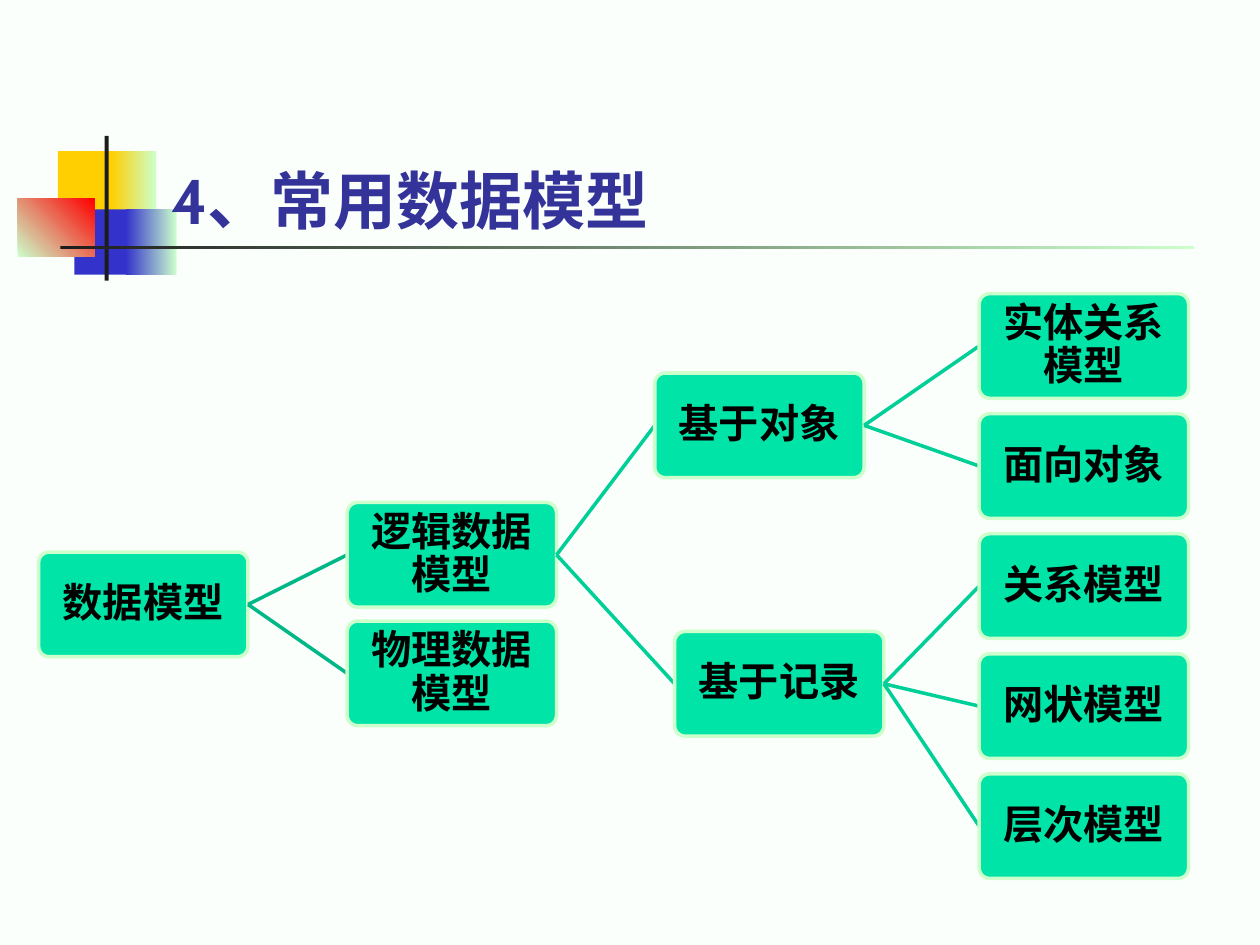
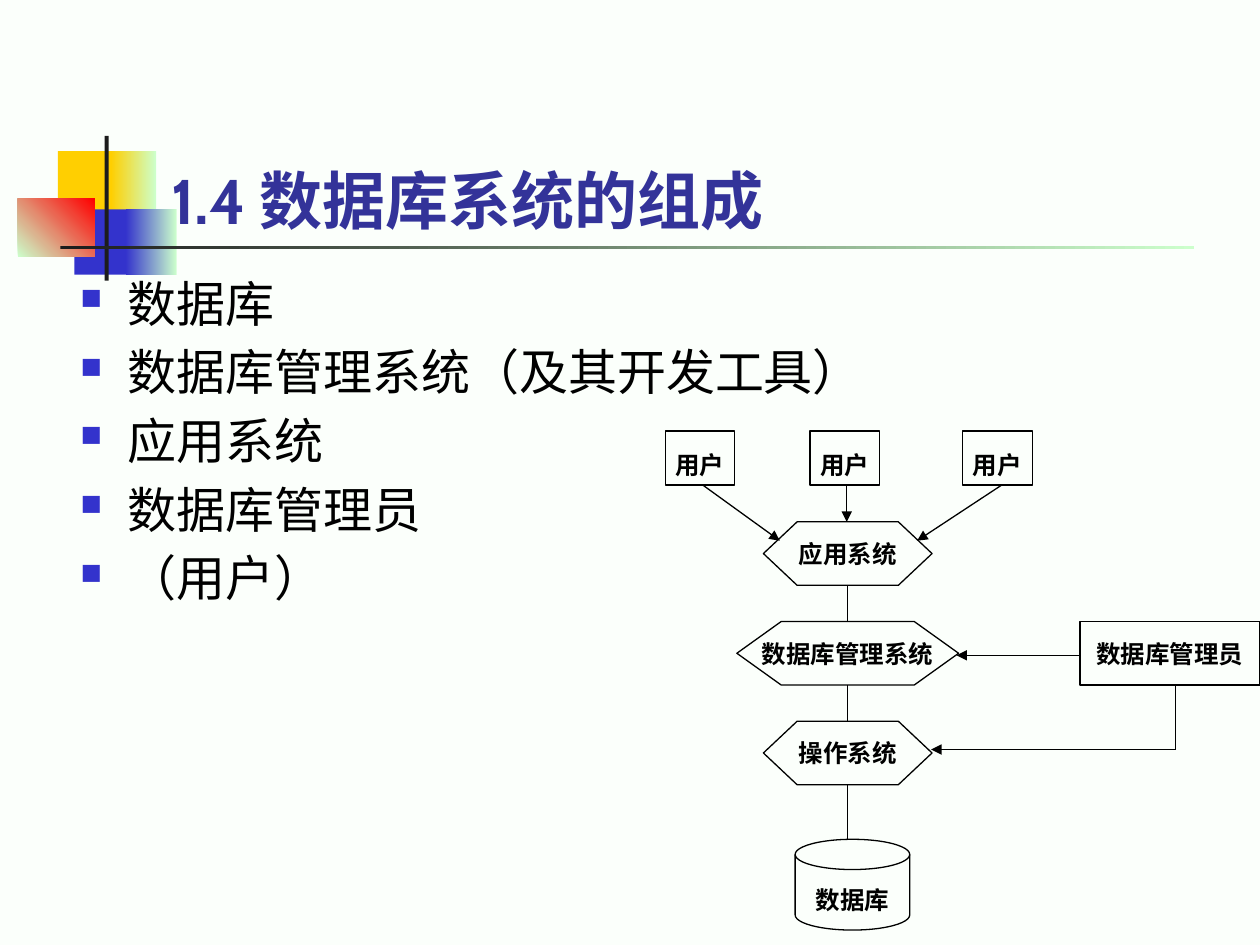
from lxml import etree
from pptx import Presentation
from pptx.dml.color import RGBColor
from pptx.enum import lang, shapes, text
from pptx.oxml.ns import qn
from pptx.util import Cm, Pt

FONT = "Cabin"
COLOURS = {
    "background": "FBFFFB",
    "pale": "CCFFCC",
    "yellow": "FFCF01",
    "blue": "3333CC",
    "red": "FF0000",
    "dark": "1C1C1C",
    "title": "333399",
    "black": "000000",
    "box": "00E4A8",
    "first branch": "00B787",
    "branch": "00CF98",
}
RGB = {name: RGBColor.from_string(value) for name, value in COLOURS.items()}


def style_text(text_frame, size, colour="black", bold=True):
    for paragraph in text_frame.paragraphs:
        for run in paragraph.runs:
            run.font.size = Pt(size)
            run.font.bold = bold
            run.font.color.rgb = RGB[colour]
            run.font.name = FONT
            run.font.language_id = lang.MSO_LANGUAGE_ID.SIMPLIFIED_CHINESE
            etree.SubElement(run._r.get_or_add_rPr(), qn("a:ea"), typeface=FONT)


def add_line(slide, start, end, colour="black", width=0.75, arrow=False):
    """Draw a straight line between two (x, y) points in centimetres."""
    line = slide.shapes.add_connector(
        shapes.MSO_CONNECTOR.STRAIGHT, *[Cm(value) for value in (*start, *end)]
    )
    line.line.color.rgb = RGB[colour]
    line.line.width = Pt(width)
    if arrow:
        etree.SubElement(line.line._get_or_add_ln(), qn("a:tailEnd"), type="triangle")
    etree.SubElement(line.element.spPr, qn("a:effectLst"))
    return line


presentation = Presentation()
presentation.slide_width, presentation.slide_height = Cm(25.4), Cm(19.05)
background = presentation.slide_master.background.fill
background.solid()
background.fore_color.rgb = RGB["background"]
layout = presentation.slide_layouts[5]

# Slides and their titles
slides = []
for title_text in ("4、常用数据模型", "1.4 数据库系统的组成"):
    slide = presentation.slides.add_slide(layout)
    title = slide.shapes.title
    title.left, title.top, title.width, title.height = Cm(3.2), Cm(1.73), Cm(21.64), Cm(3.18)
    title.text_frame.text = title_text
    title.text_frame.auto_size = text.MSO_AUTO_SIZE.NONE
    title.text_frame.vertical_anchor = text.MSO_ANCHOR.BOTTOM
    title.text_frame.paragraphs[0].alignment = text.PP_ALIGN.LEFT
    style_text(title.text_frame, 36, "title")
    slides.append(slide)
model_slide, system_slide = slides

# Title ornament, moved to the layout: left, top, width, height, colours, angle
ornament = [
    (1.17, 3.05, 1.22, 1.32, ["yellow"], 0),
    (2.24, 3.05, 0.91, 1.32, ["yellow", "pale"], 0),
    (1.5, 4.22, 1.17, 1.32, ["blue"], 0),
    (2.54, 4.22, 1.02, 1.32, ["blue", "pale"], 0),
    (0.36, 4.01, 1.55, 1.17, ["pale", "red"], 45),
    (2.11, 2.74, 0.08, 2.92, ["dark"], 0),
    (1.22, 4.95, 22.86, 0.08, ["dark", "pale"], 0),
]
for index, (left, top, width, height, colours, angle) in enumerate(ornament):
    shape = model_slide.shapes.add_shape(
        shapes.MSO_SHAPE.RECTANGLE, Cm(left), Cm(top), Cm(width), Cm(height)
    )
    shape.shadow.inherit = False
    shape.line.fill.background()
    if len(colours) == 1:
        shape.fill.solid()
        shape.fill.fore_color.rgb = RGB[colours[0]]
    else:
        shape.fill.gradient()
        shape.fill.gradient_angle = angle
        for stop, position, colour in zip(shape.fill.gradient_stops, (0, 1), colours):
            stop.position = position
            stop.color.rgb = RGB[colour]
    shape.element.nvSpPr.cNvPr.set("id", str(100 + index))
    layout.shapes.element.insert(2 + index, shape.element)

# Slide 1: tree of data models, with name, parent, left, top
BOX_WIDTH, BOX_HEIGHT = 4.22, 2.11
LEAF_LEFT, LEAF_TOP, LEAF_PITCH = 19.74, 5.92, 2.42
models = [
    ("数据模型", None, 0.78, 11.13),
    ("逻辑数据模型", "数据模型", 7, 10.13),
    ("物理数据模型", "数据模型", 7, 12.52),
    ("基于对象", "逻辑数据模型", 13.2, 7.52),
    ("基于记录", "逻辑数据模型", 13.6, 12.73),
]
leaves = [
    ("实体关系模型", "基于对象"),
    ("面向对象", "基于对象"),
    ("关系模型", "基于记录"),
    ("网状模型", "基于记录"),
    ("层次模型", "基于记录"),
]
for row, (name, parent) in enumerate(leaves):
    models.append((name, parent, LEAF_LEFT, LEAF_TOP + row * LEAF_PITCH))

boxes = {}
for name, parent, left, top in models:
    if parent:
        colour = "first branch" if parent == "数据模型" else "branch"
        branch = add_line(model_slide, (0, 0), (left, top), colour, 2)
    box = model_slide.shapes.add_shape(
        shapes.MSO_SHAPE.ROUNDED_RECTANGLE, Cm(left), Cm(top), Cm(BOX_WIDTH), Cm(BOX_HEIGHT)
    )
    boxes[name] = box
    box.adjustments[0] = 0.1
    box.shadow.inherit = False
    box.fill.solid()
    box.fill.fore_color.rgb = RGB["box"]
    box.line.color.rgb = RGB["pale"]
    box.line.width = Pt(2)
    frame = box.text_frame
    frame.text = name
    frame.word_wrap = True
    frame.margin_left = frame.margin_right = frame.margin_top = frame.margin_bottom = Cm(0.05)
    frame.paragraphs[0].alignment = text.PP_ALIGN.CENTER
    frame.paragraphs[0].line_spacing = 0.9
    style_text(frame, 23)
    if parent:
        branch.begin_connect(boxes[parent], 3)
        branch.end_connect(box, 1)

# Slide 2: bullet list
bullets = ["数据库", "数据库管理系统（及其开发工具）", "应用系统", "数据库管理员", "（用户）"]
bullet_box = system_slide.shapes.add_textbox(Cm(1.37), Cm(5.38), Cm(18.85), Cm(11.63))
frame = bullet_box.text_frame
frame.word_wrap = True
frame.text = "\n".join(bullets)
for index, paragraph in enumerate(frame.paragraphs):
    properties = paragraph._p.get_or_add_pPr()
    properties.set("marL", str(Cm(0.96)))
    properties.set("indent", str(-Cm(0.96)))
    bullet_colour = etree.SubElement(properties, qn("a:buClr"))
    etree.SubElement(bullet_colour, qn("a:srgbClr"), val=COLOURS["blue"])
    etree.SubElement(properties, qn("a:buSzPct"), val="60000")
    etree.SubElement(properties, qn("a:buChar"), char="■")
    paragraph.alignment = text.PP_ALIGN.JUSTIFY
    paragraph.space_before = Pt(5.6 if index else 0)
style_text(frame, 28, bold=False)

# Slide 2: system diagram, with name, shape, left, top, width, height, top margin
AXIS = 17.09
LAYER_TOP, LAYER_PITCH, LAYER_HEIGHT = 10.52, 2.01, 1.28
DISK_TOP = 16.92
USER_TOP, USER_HEIGHT = 8.69, 1.09
preparation = shapes.MSO_SHAPE.FLOWCHART_PREPARATION
process = shapes.MSO_SHAPE.FLOWCHART_PROCESS
disk = shapes.MSO_SHAPE.FLOWCHART_MAGNETIC_DISK

layers = [("应用系统", 3.4), ("数据库管理系统", 4.47), ("操作系统", 3.4)]
layer_tops = [LAYER_TOP + row * LAYER_PITCH for row in range(len(layers))]
nodes = [
    (name, preparation, AXIS - width / 2, top, width, LAYER_HEIGHT, 0)
    for (name, width), top in zip(layers, layer_tops)
]
nodes += [("用户", process, left, USER_TOP, 1.4, USER_HEIGHT, 0.25) for left in (13.41, 16.33, 19.41)]
nodes.append(("数据库", disk, 16.03, DISK_TOP, 2.31, 1.83, 0.3))
nodes.append(("数据库管理员", process, 21.77, layer_tops[1], 3.63, LAYER_HEIGHT, 0))

for name, kind, left, top, width, height, top_margin in nodes:
    node = system_slide.shapes.add_shape(kind, Cm(left), Cm(top), Cm(width), Cm(height))
    node.shadow.inherit = False
    node.fill.background()
    node.line.color.rgb = RGB["black"]
    node.line.width = Pt(0.75)
    frame = node.text_frame
    frame.text = name
    frame.word_wrap = False
    frame.margin_left = frame.margin_right = frame.margin_bottom = 0
    frame.margin_top = Cm(top_margin)
    frame.vertical_anchor = text.MSO_ANCHOR.MIDDLE
    frame.paragraphs[0].alignment = text.PP_ALIGN.CENTER
    style_text(frame, 14)

for top, next_top in zip(layer_tops, layer_tops[1:] + [DISK_TOP]):
    add_line(system_slide, (AXIS, top + LAYER_HEIGHT), (AXIS, next_top))

USER_BOTTOM = USER_TOP + USER_HEIGHT
arrows = [
    ((14.17, USER_BOTTOM), (15.72, 10.9)),
    ((17.07, USER_BOTTOM), (17.07, LAYER_TOP)),
    ((20.19, USER_BOTTOM), (18.49, 10.9)),
    ((21.77, 13.21), (19.28, 13.21)),
    ((23.7, 15.11), (18.77, 15.11)),
]
for start, end in arrows:
    add_line(system_slide, start, end, arrow=True)
add_line(system_slide, (23.7, layer_tops[1] + LAYER_HEIGHT), (23.7, 15.11))

presentation.save("out.pptx")
